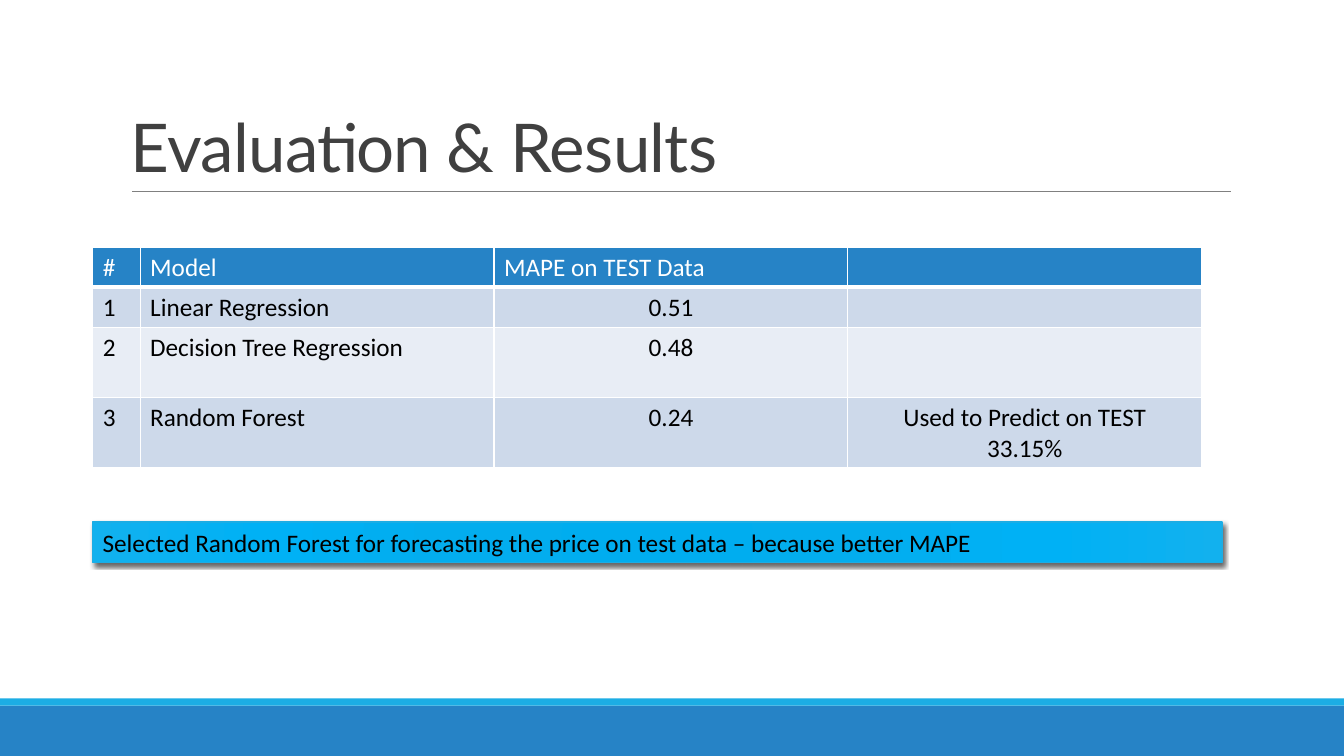
"""Build the model evaluation slide with its results table and conclusion."""
import pptx
import pptx.dml.color
import pptx.enum.shapes
import pptx.enum.text
import pptx.oxml
import pptx.oxml.ns
import pptx.util

Inches, Pt = pptx.util.Inches, pptx.util.Pt
RGBColor = pptx.dml.color.RGBColor
ALIGN = pptx.enum.text.PP_ALIGN
ANCHOR = pptx.enum.text.MSO_ANCHOR
RECTANGLE = pptx.enum.shapes.MSO_SHAPE.RECTANGLE
STRAIGHT = pptx.enum.shapes.MSO_CONNECTOR.STRAIGHT

BLUE = RGBColor(0x26, 0x83, 0xC6)
CYAN = RGBColor(0x1C, 0xAD, 0xE4)
GRAY = RGBColor(0x80, 0x80, 0x80)
DARK = RGBColor(0x40, 0x40, 0x40)
BLACK = RGBColor(0, 0, 0)
WHITE = RGBColor(0xFF, 0xFF, 0xFF)
BAND_DARK = RGBColor(0xCD, 0xD9, 0xEA)
BAND_LIGHT = RGBColor(0xE8, 0xED, 0xF5)
BANNER_STOPS = [
    (0, RGBColor(0x00, 0xAD, 0xEF)),
    (34, RGBColor(0x03, 0xAD, 0xEE)),
    (70, RGBColor(0x00, 0xB1, 0xF5)),
    (100, RGBColor(0x12, 0xB1, 0xEE)),
]

TITLE = "Evaluation & Results"
CONCLUSION = "Selected Random Forest for forecasting the price on test data – because better MAPE"
RESULTS = [
    ("#", "Model", "MAPE on TEST Data", ""),
    ("1", "Linear Regression", "0.51", ""),
    ("2", "Decision Tree Regression", "0.48", ""),
    ("3", "Random Forest", "0.24", "Used to Predict on TEST\n33.15%"),
]
COLUMN_WIDTHS = [0.47, 3.51, 3.51, 3.51]
ROW_HEIGHTS = [0.4, 0.4, 0.69, 0.69]
FOOTER_BARS = [(7, 0.5, BLUE), (6.93, 0.07, CYAN)]
TITLE_FONT = {"name": "Lato", "size": Pt(48)}
BODY_FONT = {"name": "Calibri", "size": Pt(18)}
LEFT = 0.92


def add_xml(parent, markup):
    """Append a drawing element written as markup."""
    head, tail = markup.split(" ", 1)
    parent.append(pptx.oxml.parse_xml(f"{head} {pptx.oxml.ns.nsdecls('a')} {tail}"))


def write(frame, text, font, color, align=ALIGN.LEFT):
    """Fill a text frame and format each of its paragraphs."""
    frame.word_wrap = True
    frame.text = text
    for para in frame.paragraphs:
        para.alignment = align
        for span in para.runs:
            for name, value in font.items():
                setattr(span.font, name, value)
            span.font.color.rgb = color


def add_bar(page, left, top, width, height):
    """Add a plain rectangle without outline or shadow."""
    bar = page.shapes.add_shape(
        RECTANGLE, Inches(left), Inches(top), Inches(width), Inches(height))
    bar.shadow.inherit = False
    bar.line.fill.background()
    return bar


def add_title(page):
    """Add the heading and the rule below it."""
    rule = page.shapes.add_connector(
        STRAIGHT, Inches(1.31), Inches(1.9), Inches(12.21), Inches(1.9))
    rule.line.color.rgb = GRAY
    rule.line.width = Pt(0.5)
    add_xml(rule._element.spPr, "<a:effectLst />")
    box = page.shapes.add_textbox(Inches(1.2), Inches(0.31), Inches(11), Inches(1.59))
    write(box.text_frame, TITLE, TITLE_FONT, DARK)
    box.text_frame.vertical_anchor = ANCHOR.BOTTOM
    para = box.text_frame.paragraphs[0]
    para.line_spacing = 0.85
    para.runs[0].font._element.set("spc", "-50")


def add_banner(page):
    """Add the conclusion on a radial gradient with a soft shadow."""
    banner = add_bar(page, LEFT, 5.18, 11.2, 0.4)
    banner.line.color.rgb = CYAN
    banner.line.width = Pt(1)
    banner.fill.gradient()
    properties = banner._element.spPr
    gradient = properties.find(pptx.oxml.ns.qn("a:gradFill"))
    for child in list(gradient):
        gradient.remove(child)
    stops = "".join(
        f'<a:gs pos="{place * 1000}"><a:srgbClr val="{color}"/></a:gs>'
        for place, color in BANNER_STOPS)
    add_xml(gradient, f"<a:gsLst >{stops}</a:gsLst>")
    add_xml(gradient, '<a:path path="circle">'
            '<a:fillToRect l="100000" t="100000" r="100000" b="100000"/></a:path>')
    add_xml(properties.find(pptx.oxml.ns.qn("a:effectLst")),
            f'<a:outerShdw blurRad="{Pt(3)}" dist="{Pt(2)}" dir="{45 * 60000}">'
            f'<a:srgbClr val="{BLACK}"><a:alpha val="60000"/></a:srgbClr></a:outerShdw>')
    write(banner.text_frame, CONCLUSION, BODY_FONT, BLACK)


def add_borders(cell, row):
    """Draw white cell borders, thicker between header and body."""
    widths = {"L": 1, "R": 1, "T": 3 if row == 1 else 1, "B": 3 if row == 0 else 1}
    for side, width in widths.items():
        add_xml(cell._tc.get_or_add_tcPr(),
                f'<a:ln{side} w="{Pt(width)}"><a:solidFill>'
                f'<a:srgbClr val="{WHITE}"/></a:solidFill></a:ln{side}>')


def add_results(page):
    """Add the table of models and their errors."""
    table = page.shapes.add_table(
        len(RESULTS), len(COLUMN_WIDTHS), Inches(LEFT), Inches(2.45),
        Inches(sum(COLUMN_WIDTHS)), Inches(sum(ROW_HEIGHTS))).table
    for column, width in zip(table.columns, COLUMN_WIDTHS):
        column.width = Inches(width)
    for row, (values, height) in enumerate(zip(RESULTS, ROW_HEIGHTS)):
        table.rows[row].height = Inches(height)
        band = BLUE if row == 0 else BAND_DARK if row % 2 else BAND_LIGHT
        for column, text in enumerate(values):
            cell = table.cell(row, column)
            add_borders(cell, row)
            cell.fill.solid()
            cell.fill.fore_color.rgb = band
            centered = row > 0 and column > 1
            write(cell.text_frame, text, BODY_FONT, BLACK if row else WHITE,
                  ALIGN.CENTER if centered else ALIGN.LEFT)


deck = pptx.Presentation()
deck.slide_width, deck.slide_height = Inches(13.33), Inches(7.5)
page = deck.slides.add_slide(deck.slide_layouts[6])
for top, height, color in FOOTER_BARS:
    bar = add_bar(page, 0, top, 13.33, height)
    bar.fill.solid()
    bar.fill.fore_color.rgb = color
add_title(page)
add_banner(page)
add_results(page)
deck.save("out.pptx")
